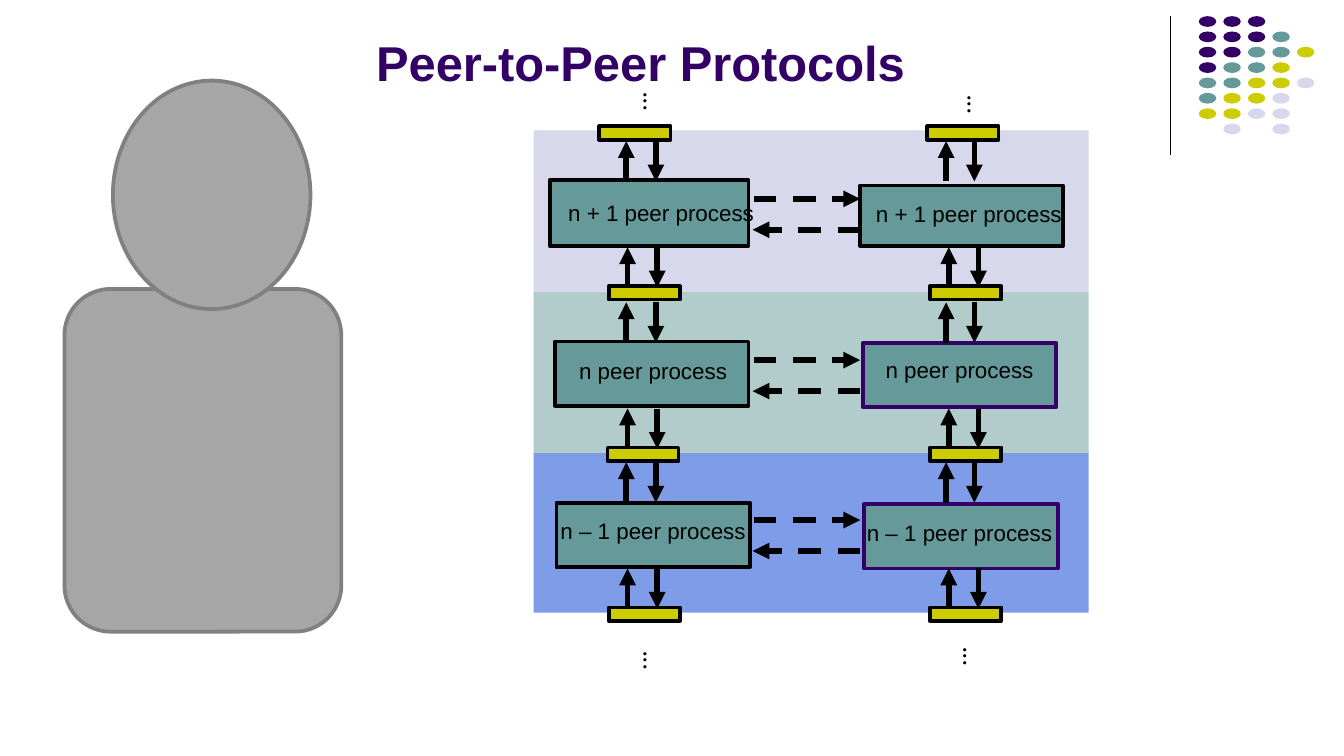
from lxml import etree
from pptx import Presentation
from pptx.dml.color import RGBColor
from pptx.enum.dml import MSO_LINE
from pptx.enum.shapes import MSO_CONNECTOR, MSO_SHAPE
from pptx.enum.text import MSO_ANCHOR, PP_ALIGN
from pptx.oxml.ns import qn
from pptx.util import Inches, Pt

RECTANGLE = MSO_SHAPE.RECTANGLE
ROUNDED = MSO_SHAPE.ROUNDED_RECTANGLE
OVAL = MSO_SHAPE.OVAL
STRAIGHT = MSO_CONNECTOR.STRAIGHT
DASH = MSO_LINE.DASH
LEFT = PP_ALIGN.LEFT
CENTER = PP_ALIGN.CENTER
TOP = MSO_ANCHOR.TOP
BOTTOM = MSO_ANCHOR.BOTTOM

BLACK = RGBColor(0x00, 0x00, 0x00)
PURPLE = RGBColor(0x33, 0x00, 0x66)
TEAL = RGBColor(0x66, 0x99, 0x99)
YELLOW = RGBColor(0xCC, 0xCC, 0x00)
LAVENDER = RGBColor(0xD8, 0xD8, 0xEC)
PALE_TEAL = RGBColor(0xB1, 0xCC, 0xCB)
BLUE = RGBColor(0x7E, 0x9C, 0xE8)
GREY = RGBColor(0xA6, 0xA6, 0xA6)
DARK_GREY = RGBColor(0x80, 0x80, 0x80)

FONT = "Arial"
DOT_COLORS = {"P": PURPLE, "T": TEAL, "Y": YELLOW, "L": LAVENDER}
DOT_ROWS = ("PPP", "PPPT", "PPTTY", "PTTY", "TTYYL", "TYYL", "YYLL", " L L")

BANDS = ((0.97, LAVENDER), (2.17, PALE_TEAL), (3.36, BLUE))
PROCESSES = (
    ((4.09, 1.34, 1.48, 0.49), BLACK, "n + 1 peer process", 4.15, 1.44),
    ((6.40, 1.38, 1.51, 0.45), BLACK, "n + 1 peer process", 6.44, 1.45),
    ((4.13, 2.54, 1.44, 0.48), BLACK, "n peer process", 4.09, 2.62),
    ((6.42, 2.55, 1.44, 0.48), PURPLE, "n peer process", 6.37, 2.61),
    ((4.14, 3.74, 1.44, 0.48), BLACK, "n – 1 peer process", 4.09, 3.81),
    ((6.43, 3.75, 1.44, 0.48), PURPLE, "n – 1 peer process", 6.37, 3.82),
)
INTERFACE_ROWS = ((0.94, 4.46, 6.90), (2.13, 4.53, 6.92), (3.33, 4.52, 6.92), (4.52, 4.53, 6.92))
UPPER_ARROWS = ((4.66, 4.88), (7.04, 7.25))
LOWER_ARROWS = ((4.67, 4.89), (7.06, 7.28))
ELLIPSES = ((4.61, 4.80), (4.61, 0.64), (7.02, 0.66), (6.99, 4.77))


def add_block(page, kind, at, fill, line=None):
    """Add a filled preset shape, outlined when a line colour is given."""
    block = page.shapes.add_shape(kind, *map(Inches, at))
    block.shadow.inherit = False
    block.fill.solid()
    block.fill.fore_color.rgb = fill
    if line is None:
        block.line.fill.background()
    else:
        block.line.color.rgb = line
        block.line.width = Pt(2)


def add_line(page, start, end, width=3, arrow=True, dash=None):
    """Add a straight black line, with an arrowhead at its end by default."""
    line = page.shapes.add_connector(STRAIGHT, *map(Inches, start + end))
    line.line.color.rgb = BLACK
    line.line.width = Pt(width)
    if dash is not None:
        line.line.dash_style = dash
    if arrow:
        outline = line._element.spPr.find(qn("a:ln"))
        etree.SubElement(outline, qn("a:tailEnd"), type="triangle")
    etree.SubElement(line._element.spPr, qn("a:effectLst"))


def add_text(page, at, text, size, color=BLACK, bold=False, align=LEFT,
             anchor=TOP, insets=(0.1, 0.05), wrap=False):
    """Add a text box holding a single run."""
    box = page.shapes.add_textbox(*map(Inches, at))
    frame = box.text_frame
    frame.word_wrap = wrap
    frame.vertical_anchor = anchor
    frame.margin_left = frame.margin_right = Inches(insets[0])
    frame.margin_top = frame.margin_bottom = Inches(insets[1])
    para = frame.paragraphs[0]
    para.alignment = align
    span = para.add_run()
    span.text = text
    span.font.name = FONT
    span.font.size = Pt(size)
    span.font.bold = bold
    span.font.color.rgb = color
    return box


def add_dot_pattern(page):
    """Add the corner rule and its grid of coloured dots."""
    add_line(page, (8.71, 0.12), (8.71, 1.15), width=0.75, arrow=False)
    for row, keys in enumerate(DOT_ROWS):
        for column, key in enumerate(keys):
            if key in DOT_COLORS:
                at = (8.92 + 0.73 * column / 4, 0.12 + 0.8 * row / 7, 0.13, 0.08)
                add_block(page, OVAL, at, DOT_COLORS[key])


def add_vertical_pairs(page, columns, top):
    """Add an up and a down arrow for each column."""
    bottom = top + 0.3
    for up, down in columns:
        add_line(page, (up, bottom), (up, top))
        add_line(page, (down, top), (down, bottom))


def add_layers(page):
    """Add the three protocol layers with processes, interfaces and arrows."""
    for top, color in reversed(BANDS):
        add_block(page, RECTANGLE, (3.97, top, 4.13, 1.2), color)
    for at, outline, name, left, top in PROCESSES:
        add_block(page, RECTANGLE, at, TEAL, outline)
        add_text(page, (left, top, 1.54, 0.28), name, 12, align=CENTER, insets=(0.07, 0.04))
    for top, *lefts in INTERFACE_ROWS:
        for left in lefts:
            add_block(page, RECTANGLE, (left, top, 0.53, 0.1), YELLOW, BLACK)
    for top, _ in BANDS:
        add_vertical_pairs(page, UPPER_ARROWS, top + 0.08)
        add_vertical_pairs(page, LOWER_ARROWS, top + 0.87)
        add_line(page, (5.61, top + 0.51), (6.4, top + 0.51), dash=DASH)
        add_line(page, (6.4, top + 0.74), (5.6, top + 0.74), dash=DASH)
    for left, top in ELLIPSES:
        add_text(page, (left, top, 0.38, 0.18), "● ● ●", 4).rotation = 270


def add_person(page):
    """Add a plain figure made of a body and a head."""
    add_block(page, ROUNDED, (0.48, 2.15, 2.06, 2.55), GREY, DARK_GREY)
    add_block(page, OVAL, (0.84, 0.6, 1.47, 1.7), GREY, DARK_GREY)


def main():
    """Build the slide and save the deck."""
    deck = Presentation()
    deck.slide_width = Inches(10)
    deck.slide_height = Inches(10) * 9 // 16
    page = deck.slides.add_slide(deck.slide_layouts[6])
    add_dot_pattern(page)
    add_layers(page)
    add_text(page, (2.7, 0.06, 4.78, 0.67), "Peer-to-Peer Protocols", 26.2, PURPLE,
             bold=True, anchor=BOTTOM, wrap=True)
    add_person(page)
    deck.save("out.pptx")


if __name__ == "__main__":
    main()
